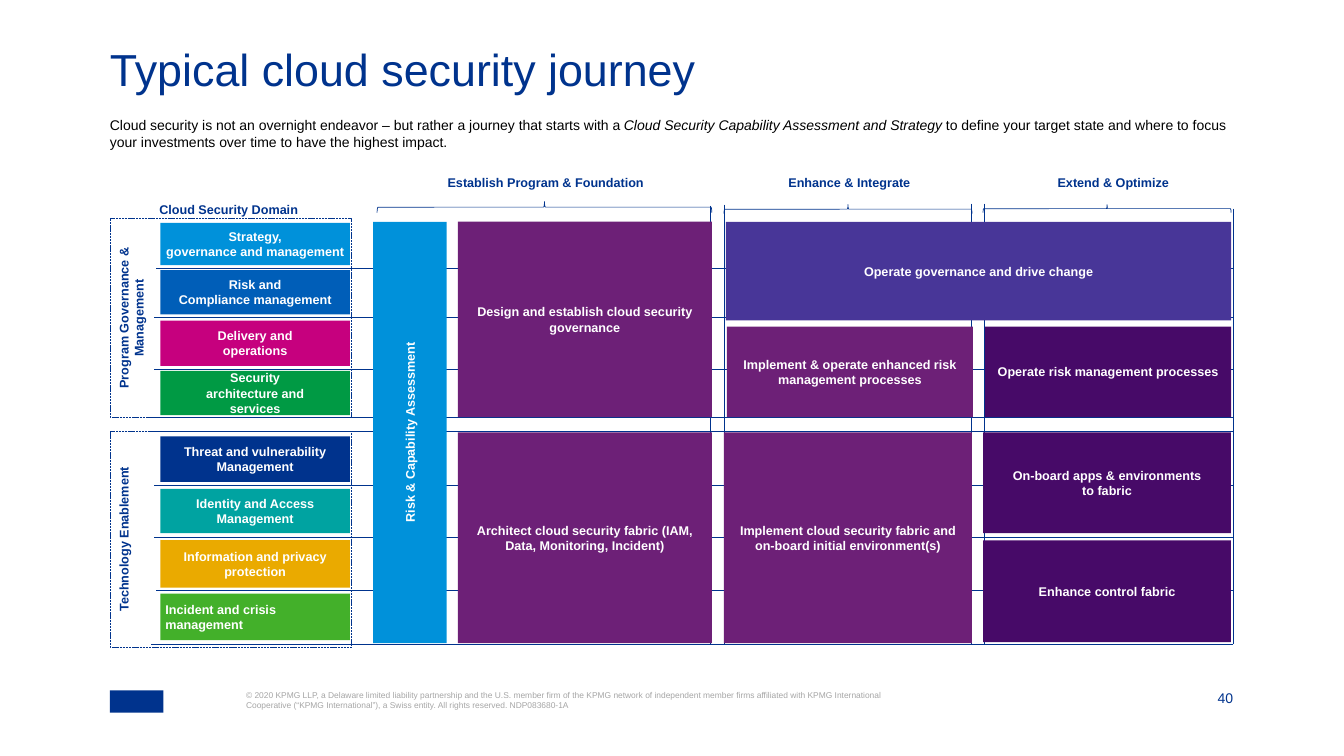
from pptx import Presentation
from pptx.dml.color import RGBColor
from pptx.enum.dml import MSO_LINE
from pptx.enum.shapes import MSO_CONNECTOR, MSO_SHAPE
from pptx.enum.text import MSO_ANCHOR, PP_ALIGN
from pptx.oxml.ns import qn
from pptx.util import Inches, Pt
from lxml import etree

RECT, BRACE = MSO_SHAPE.RECTANGLE, MSO_SHAPE.LEFT_BRACE
STRAIGHT = MSO_CONNECTOR.STRAIGHT
DASH = MSO_LINE.SQUARE_DOT
TOP, MIDDLE, BOTTOM = MSO_ANCHOR.TOP, MSO_ANCHOR.MIDDLE, MSO_ANCHOR.BOTTOM
LEFT, CENTER, RIGHT = PP_ALIGN.LEFT, PP_ALIGN.CENTER, PP_ALIGN.RIGHT

WHITE = RGBColor(0xFF, 0xFF, 0xFF)
BLACK = RGBColor(0x00, 0x00, 0x00)
GRAY = RGBColor(0xA6, 0xA6, 0xA6)
NAVY = RGBColor(0x00, 0x33, 0x8D)
SKY = RGBColor(0x00, 0x91, 0xDA)
BLUE = RGBColor(0x00, 0x5E, 0xB8)
PINK = RGBColor(0xC6, 0x00, 0x7E)
GREEN = RGBColor(0x00, 0x9A, 0x44)
TEAL = RGBColor(0x00, 0xA3, 0xA1)
AMBER = RGBColor(0xEA, 0xAA, 0x00)
LIME = RGBColor(0x43, 0xB0, 0x2A)
PLUM = RGBColor(0x6D, 0x20, 0x77)
INDIGO = RGBColor(0x48, 0x36, 0x98)
VIOLET = RGBColor(0x47, 0x0A, 0x68)


def write(shape, text, size=9, color=WHITE, bold=True, align=CENTER,
          anchor=MIDDLE, inset=0.06, upward=False, spacing=None):
    """Fill a shape: \\n starts a paragraph, \\v a line, *...* is italic."""
    frame = shape.text_frame
    frame.word_wrap = True
    frame.vertical_anchor = anchor
    frame.margin_left = frame.margin_right = Inches(inset)
    frame.margin_top = frame.margin_bottom = Inches(inset)
    if upward:
        shape.element.txBody.bodyPr.set("vert", "vert270")
    for index, content in enumerate(text.split("\n")):
        paragraph = frame.add_paragraph() if index else frame.paragraphs[0]
        paragraph.alignment = align
        if spacing:
            paragraph.line_spacing = spacing
        for part, piece in enumerate(content.split("*")):
            for row, words in enumerate(piece.split("\v")):
                if row:
                    paragraph.add_line_break()
                run = paragraph.add_run()
                run.text = words
                font = run.font
                font.name, font.size, font.bold = "Arial", Pt(size), bold
                font.italic = part % 2 == 1
                font.color.rgb = color


class JourneySlide:
    line_color = NAVY
    line_width = Pt(0.5)

    def __init__(self, presentation):
        self.shapes = presentation.slides.add_slide(
            presentation.slide_layouts[6]).shapes

    def text(self, box, text, **style):
        label = self.shapes.add_textbox(*map(Inches, box))
        write(label, text, **{"color": NAVY, "align": LEFT, "anchor": TOP, **style})

    def outline(self, kind, box):
        shape = self.shapes.add_shape(kind, *map(Inches, box))
        shape.shadow.inherit = False
        shape.fill.background()
        shape.line.color.rgb = self.line_color
        shape.line.width = self.line_width
        return shape

    def card(self, box, fill, text="", **style):
        card = self.shapes.add_shape(RECT, *map(Inches, box))
        card.shadow.inherit = False
        card.fill.solid()
        card.fill.fore_color.rgb = fill
        card.line.fill.background()
        if text:
            write(card, text, **style)

    def domain_group(self, box, text):
        frame = self.outline(RECT, box)
        frame.line.dash_style = DASH
        write(frame, text, color=NAVY, anchor=TOP, upward=True)

    def brace(self, left, top, width, depth):
        # The upright brace is turned a quarter about its centre
        brace = self.outline(BRACE, (left + (width - depth) / 2,
                                     top - (width - depth) / 2, depth, width))
        brace.rotation = 90

    def rule(self, x1, y1, x2, y2):
        rule = self.shapes.add_connector(STRAIGHT, *map(Inches, (x1, y1, x2, y2)))
        rule.line.color.rgb = self.line_color
        rule.line.width = self.line_width
        etree.SubElement(rule.element.spPr, qn("a:effectLst"))


def main():
    presentation = Presentation()
    presentation.slide_width, presentation.slide_height = Inches(13.33), Inches(7.5)
    slide = JourneySlide(presentation)

    # Title and introduction
    slide.text((1.09, 0.47, 11.15, 0.58), "Typical cloud security journey",
               size=32, bold=False, inset=0, spacing=0.9)
    slide.text((1.09, 1.16, 11.15, 0.4),
               "Cloud security is not an overnight endeavor – but rather a journey that "
               "starts with a *Cloud Security Capability Assessment and Strategy* to define "
               "your target state and where to focus your investments over time to have "
               "the highest impact.",
               size=10, color=BLACK, bold=False, inset=0)

    # Phase headings with their braces
    phases = [
        ("Establish Program & Foundation", 4.38, (3.74, 2.0, 3.32, 0.11)),
        ("Enhance & Integrate", 7.76, (7.18, 2.03, 2.46, 0.09)),
        ("Extend & Optimize", 10.43, (9.75, 2.03, 2.46, 0.08)),
    ]
    for heading, left, brace in phases:
        slide.text((left, 1.68, 2.1, 0.3), heading)
        slide.brace(*brace)
    slide.text((1.52, 1.94, 1.91, 0.27), "Cloud Security Domain")

    # Grid lines
    for y, left in [(2.66, 1.55), (3.15, 1.53), (3.66, 1.53), (4.14, 1.47), (4.28, 1.5),
                    (4.82, 1.53), (5.33, 1.53), (5.86, 1.55), (6.39, 1.5)]:
        slide.rule(12.23, y, left, y)
    for x, top in [(7.05, 2.04), (7.18, 2.03), (9.63, 2.02), (9.76, 2.02), (12.23, 2.07)]:
        slide.rule(x, top, x, 6.39)

    # Security domains
    slide.domain_group((1.09, 2.17, 2.4, 1.97), "Program Governance & Management")
    slide.domain_group((1.09, 4.28, 2.4, 2.14), "Technology Enablement")
    domains = [
        (2.21, 0.42, SKY, "Strategy,\ngovernance and management", CENTER),
        (2.68, 0.44, BLUE, "Risk and\nCompliance management", CENTER),
        (3.18, 0.45, PINK, "Delivery and\voperations", CENTER),
        (3.68, 0.44, GREEN, "Security\narchitecture and\nservices", CENTER),
        (4.33, 0.45, NAVY, "Threat and vulnerability Management", CENTER),
        (4.85, 0.44, TEAL, "Identity and Access Management", CENTER),
        (5.36, 0.47, AMBER, "Information and privacy protection", CENTER),
        (5.89, 0.46, LIME, "Incident and crisis management", LEFT),
    ]
    for top, height, fill, domain, align in domains:
        slide.card((1.59, top, 1.88, height), fill, domain, align=align, inset=0.05)

    # Journey steps
    slide.card((3.7, 2.2, 0.73, 4.18), SKY, "Risk & Capability Assessment", upward=True)
    steps = [
        ((4.54, 2.2, 2.52, 1.94), PLUM, "Design and establish cloud security governance"),
        ((4.54, 4.29, 2.52, 2.09), PLUM,
         "Architect cloud security fabric (IAM, Data, Monitoring, Incident)"),
        ((7.18, 4.29, 2.46, 2.09), PLUM,
         "Implement cloud security fabric and on-board initial environment(s)"),
        ((9.75, 4.29, 2.46, 1), VIOLET, "On-board apps & environments\vto fabric"),
        ((9.75, 5.36, 2.46, 1.01), VIOLET, "Enhance control fabric"),
        ((9.77, 3.24, 2.44, 0.9), VIOLET, "Operate risk management processes"),
        ((7.2, 2.2, 5.01, 0.98), INDIGO, "Operate governance and drive change"),
        ((7.21, 3.24, 2.44, 0.9), PLUM,
         "Implement & operate enhanced risk management processes"),
    ]
    for box, fill, step in steps:
        slide.card(box, fill, step)

    # Footer
    slide.card((1.09, 6.85, 0.53, 0.22), NAVY)
    slide.text((2.44, 6.85, 6.39, 0.41),
               "© 2020 KPMG LLP, a Delaware limited liability partnership and the U.S. "
               "member firm of the KPMG network of independent member firms affiliated with "
               "KPMG International Cooperative (“KPMG International”), a Swiss entity. "
               "All rights reserved. NDP083680-1A",
               size=6, color=GRAY, bold=False, inset=0)
    slide.text((11.74, 6.85, 0.49, 0.16), "40", size=10, bold=False,
               align=RIGHT, anchor=BOTTOM, inset=0)

    presentation.save("out.pptx")


if __name__ == "__main__":
    main()
